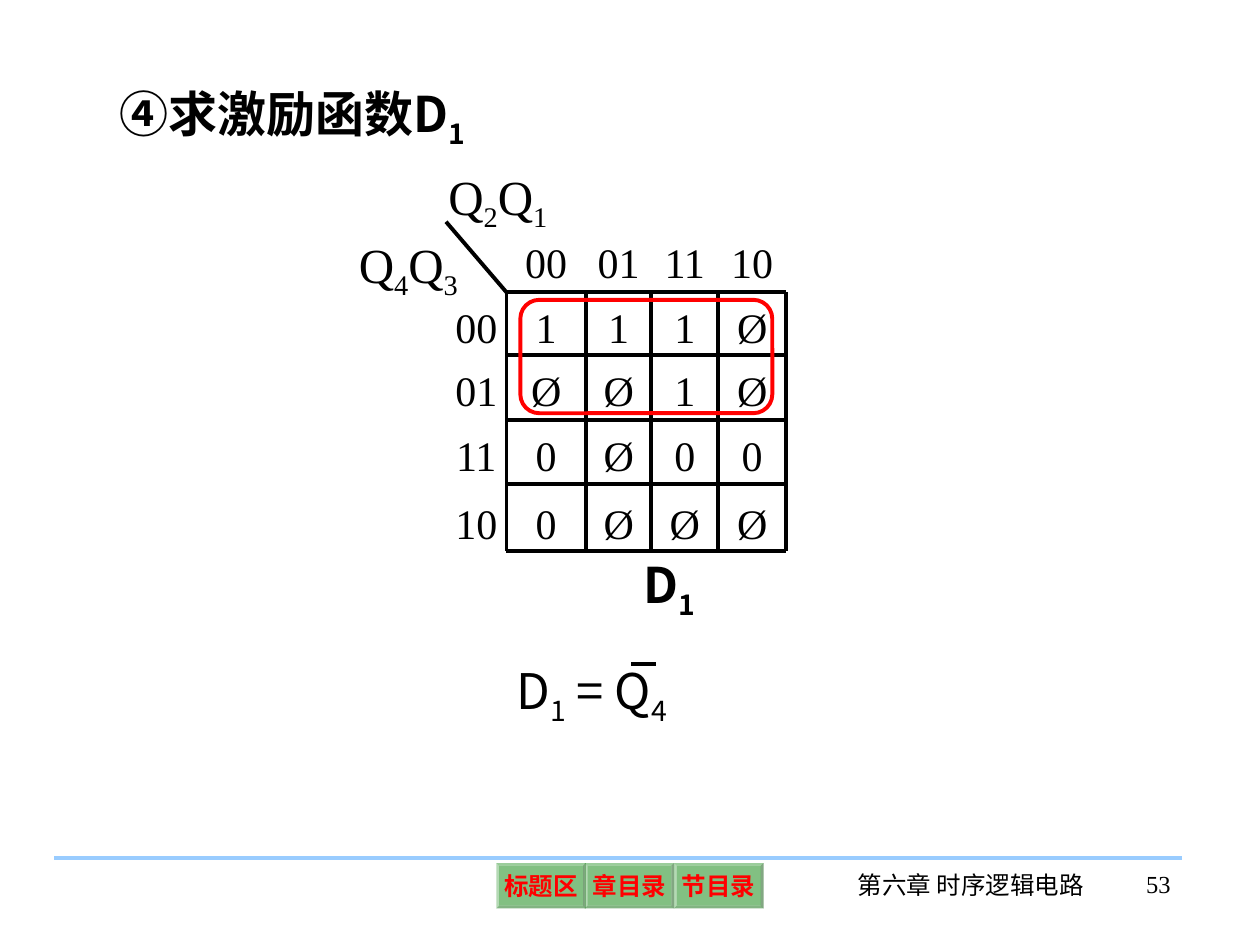
import itertools

import pptx
import pptx.util
import pptx.dml.color
import pptx.enum.shapes
import pptx.enum.text
import pptx.oxml
import pptx.oxml.ns

Inches = pptx.util.Inches
Pt = pptx.util.Pt
Align = pptx.enum.text.PP_ALIGN
Anchor = pptx.enum.text.MSO_ANCHOR
Shape = pptx.enum.shapes.MSO_SHAPE
qn = pptx.oxml.ns.qn
SERIF = "Times New Roman"
SANS = "Noto Sans CJK SC"
BLACK = "000000"
RED = "FF0000"
LINE_WIDTH = 2.25

MAP_ROWS = [
    ["", "00", "01", "11", "10"],
    ["00", "1", "1", "1", "Ø"],
    ["01", "Ø", "Ø", "1", "Ø"],
    ["11", "0", "Ø", "0", "0"],
    ["10", "0", "Ø", "Ø", "Ø"],
]
COLUMN_WIDTHS = [0.48, 0.63, 0.52, 0.53, 0.54]
ROW_HEIGHTS = [0.56, 0.5, 0.51, 0.51, 0.53]


def color(value):
    return pptx.dml.color.RGBColor.from_string(value)


def add_child(parent, tag, **attributes):
    child = parent.makeelement(qn(tag), attributes)
    parent.append(child)
    return child


def format_para(para, size, font, ink=BLACK, bold=False, align=Align.LEFT):
    para.alignment = align
    para.font.size = Pt(size)
    para.font.bold = bold
    para.font.color.rgb = color(ink)
    para.font.name = font
    defaults = para._p.pPr.find(qn("a:defRPr"))
    add_child(defaults, "a:ea", typeface=SANS)


def write_spans(para, pieces):
    """Pieces alternate between normal text and subscript."""
    for index, piece in enumerate(pieces):
        if piece:
            span = para.add_run()
            span.text = piece
            if index % 2:
                span._r.get_or_add_rPr().set("baseline", "-25000")


def set_margins(frame, margin):
    frame.margin_left = frame.margin_right = Inches(margin)
    frame.margin_top = frame.margin_bottom = Inches(margin)
    frame.vertical_anchor = Anchor.MIDDLE


def add_text(page, area, pieces, size=28, font=SERIF, bold=False, align=Align.LEFT):
    box = page.shapes.add_textbox(*map(Inches, area))
    box.text_frame.word_wrap = True
    para = box.text_frame.paragraphs[0]
    write_spans(para, pieces)
    format_para(para, size, font, bold=bold, align=align)
    return box


def add_title(page):
    title = page.shapes.title
    title.left, title.top, title.width, title.height = map(Inches, (0.85, 0.61, 8.24, 0.63))
    title.text_frame.vertical_anchor = Anchor.TOP
    title.text_frame.auto_size = pptx.enum.text.MSO_AUTO_SIZE.NONE
    para = title.text_frame.paragraphs[0]
    write_spans(para, ["④", "", "求激励函数D", "1"])
    format_para(para, 28, SANS, bold=True)
    para.runs[0].font.name = SERIF


def add_line(page, start, end, ink=BLACK):
    line = page.shapes.add_connector(
        pptx.enum.shapes.MSO_CONNECTOR.STRAIGHT, *map(Inches, (*start, *end)))
    line.line.color.rgb = color(ink)
    line.line.width = Pt(LINE_WIDTH)
    add_child(line._element.spPr, "a:effectLst")


def add_karnaugh_map(page, left, top):
    lefts = list(itertools.accumulate(COLUMN_WIDTHS, initial=left))
    tops = list(itertools.accumulate(ROW_HEIGHTS, initial=top))
    for row, values in enumerate(MAP_ROWS):
        spacing = 1.2 if row in (0, len(MAP_ROWS) - 1) else 1.1
        for column, value in enumerate(values):
            if value:
                area = (lefts[column], tops[row], COLUMN_WIDTHS[column], ROW_HEIGHTS[row])
                cell = add_text(page, area, [value], size=24, align=Align.CENTER)
                set_margins(cell.text_frame, 0.02)
                cell.text_frame.paragraphs[0].line_spacing = spacing
    add_line(page, (left, top), (lefts[1], tops[1]))
    for x in lefts[1:]:
        add_line(page, (x, tops[1]), (x, tops[-1]))
    for y in tops[1:]:
        add_line(page, (lefts[1], y), (lefts[-1], y))


def add_loop(page, area):
    loop = page.shapes.add_shape(Shape.ROUNDED_RECTANGLE, *map(Inches, area))
    loop.shadow.inherit = False
    loop.fill.background()
    loop.line.color.rgb = color(RED)
    loop.line.width = Pt(LINE_WIDTH)


def add_button(page, left, label):
    button = page.shapes.add_shape(
        Shape.BEVEL, Inches(left), Inches(6.85), Inches(0.71), Inches(0.36))
    button.adjustments[0] = 0.06
    button.shadow.inherit = False
    button.fill.solid()
    button.fill.fore_color.rgb = color("008000")
    add_child(button._element.spPr.find(".//" + qn("a:srgbClr")), "a:alpha", val="49000")
    button.line.fill.background()
    frame = button.text_frame
    frame.word_wrap = False
    set_margins(frame, 0.04)
    para = frame.paragraphs[0]
    write_spans(para, [label])
    format_para(para, 14, SERIF, ink=RED, bold=True, align=Align.CENTER)


def main():
    deck = pptx.Presentation()
    deck.slide_width, deck.slide_height = Inches(10), Inches(7.5)
    page = deck.slides.add_slide(deck.slide_layouts[5])
    add_title(page)
    add_text(page, (2.75, 1.81, 1.03, 0.63), ["Q", "4", "Q", "3"])
    add_text(page, (3.46, 1.27, 1.3, 0.63), ["Q", "2", "Q", "1"])
    add_karnaugh_map(page, 3.54, 1.76)
    add_text(page, (5.01, 4.35, 0.76, 0.63), ["D", "1"], font=SANS, bold=True)
    add_loop(page, (4.13, 2.38, 2, 0.9))
    add_text(page, (4, 5.19, 1.57, 0.63), ["D", "1", " = Q", "4"], font=SANS)
    add_line(page, (5.01, 5.27), (5.21, 5.27))
    add_line(page, (0.43, 6.81), (9.38, 6.81), "99CCFF")
    for left, label in ((3.94, "标题区"), (4.64, "章目录"), (5.35, "节目录")):
        add_button(page, left, label)
    add_text(page, (6.66, 6.86, 2.09, 0.5), ["第六章 时序逻辑电路"], size=14, align=Align.CENTER)
    add_text(page, (8.53, 6.85, 0.86, 0.5), ["53"], size=14, align=Align.RIGHT)
    deck.save("out.pptx")


if __name__ == "__main__":
    main()
